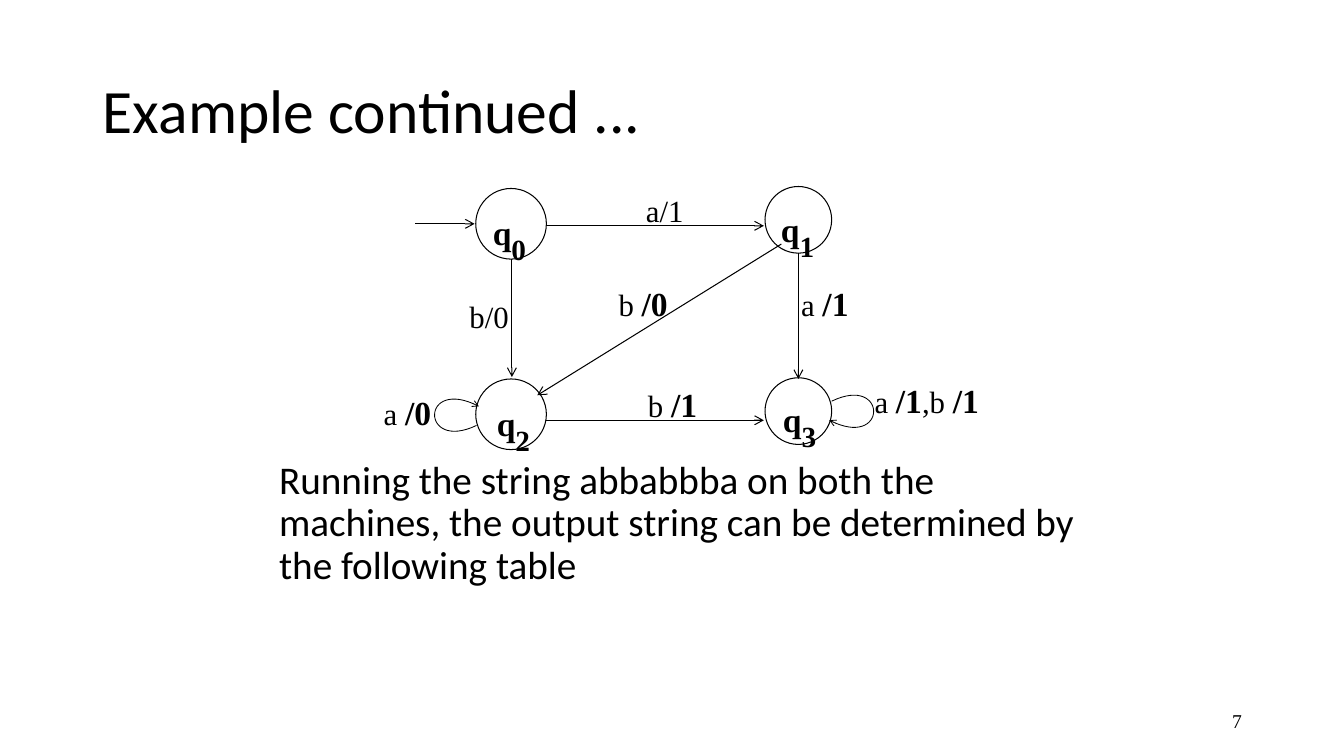
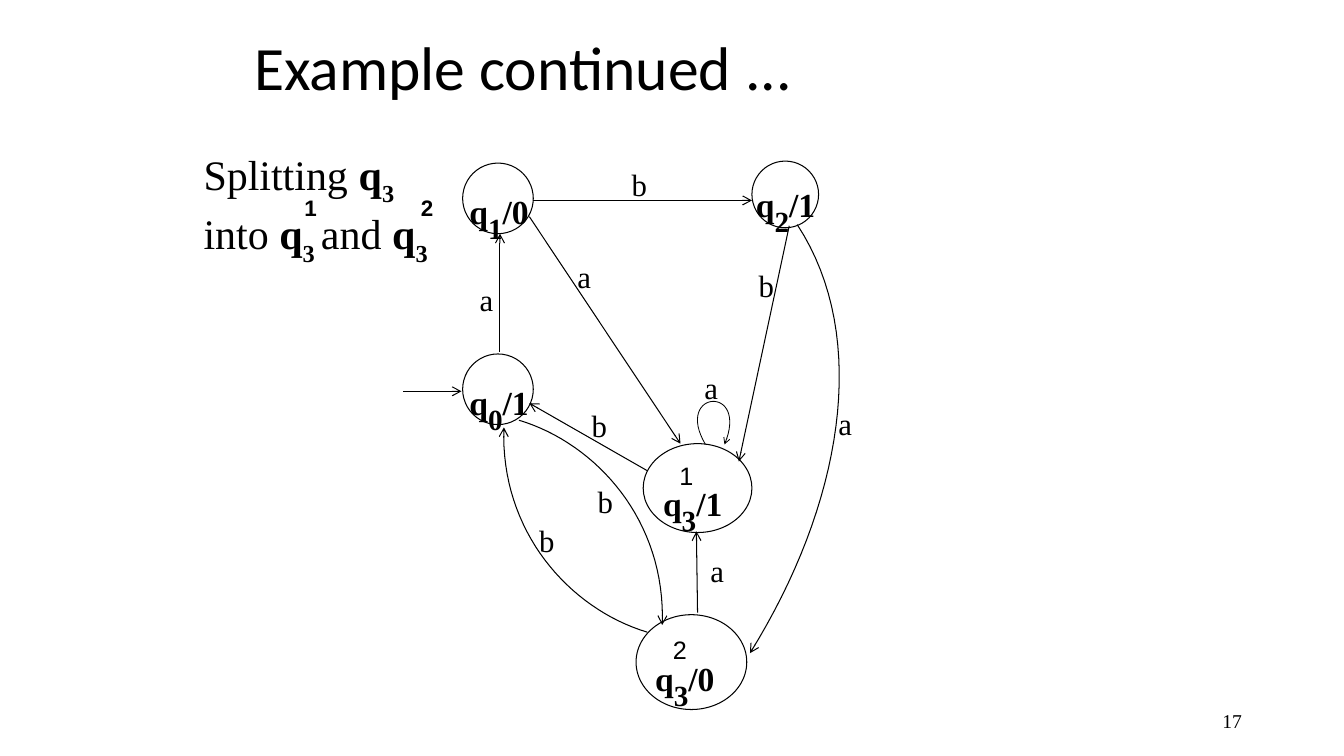
from lxml.etree import SubElement
from pptx import Presentation
from pptx.dml.color import RGBColor
from pptx.enum.shapes import MSO_CONNECTOR, MSO_SHAPE
from pptx.enum.text import MSO_ANCHOR, MSO_AUTO_SIZE, PP_ALIGN
from pptx.oxml.ns import qn
from pptx.util import Cm, Pt

BLACK = RGBColor(0, 0, 0)
WHITE = RGBColor(255, 255, 255)
SERIF, SANS, HEADING = "Times New Roman", "Arial", "Calibri"
LEFT, RIGHT = PP_ALIGN.LEFT, PP_ALIGN.RIGHT
TOP, MIDDLE = MSO_ANCHOR.TOP, MSO_ANCHOR.MIDDLE
NO_FIT = MSO_AUTO_SIZE.NONE
STRAIGHT, ELLIPSE = MSO_CONNECTOR.STRAIGHT, MSO_SHAPE.OVAL
TITLE_AND_BODY, TITLE_ONLY = 1, 5
LARGE_STATE, SMALL_STATE = (1.78, 1.78), (1.68, 1.68)
CURVE_STEPS = 32


def add_span(para, text, size=22, font=SERIF, bold=False, subscript=False):
    """Append a formatted run of text to a paragraph."""
    span = para.add_run()
    span.text = text
    span.font.size = Pt(size)
    span.font.name = font
    span.font.bold = bold
    span.font.color.rgb = BLACK
    if subscript:
        span._r.get_or_add_rPr().set("baseline", "-30000")


def prepare_frame(box, anchor=TOP, align=LEFT):
    """Set up the text frame of a box and return its first paragraph."""
    frame = box.text_frame
    frame.word_wrap = True
    frame.auto_size = NO_FIT
    frame.vertical_anchor = anchor
    para = frame.paragraphs[0]
    para.alignment = align
    return para


def add_box(page, left, top, width, height, **layout):
    """Add a text box and return its first paragraph."""
    box = page.shapes.add_textbox(Cm(left), Cm(top), Cm(width), Cm(height))
    return prepare_frame(box, **layout)


def fill_placeholder(box, area, text, size, anchor=TOP):
    """Move a placeholder and give it one plain paragraph."""
    box.left, box.top, box.width, box.height = map(Cm, area)
    para = prepare_frame(box, anchor)
    para.line_spacing = 0.9
    para.space_before = Pt(0)
    properties = para._p.get_or_add_pPr()
    properties.set("marL", "0")
    properties.set("indent", "0")
    SubElement(properties, qn("a:buNone"))
    add_span(para, text, size=size, font=HEADING)


def add_page(deck, layout, title_area, number):
    """Add a slide with the shared title and a page number."""
    page = deck.slides.add_slide(deck.slide_layouts[layout])
    fill_placeholder(page.shapes.title, title_area, "Example continued ...", 44, MIDDLE)
    para = add_box(page, 23.93, 17.65, 7.62, 1.02, anchor=MIDDLE, align=RIGHT)
    add_span(para, number, size=14)
    return page


def add_state(page, left, top, size, label_at, number, output=""):
    """Draw a state circle with its name and optional output."""
    shape = page.shapes.add_shape(ELLIPSE, *map(Cm, (left, top, *size)))
    shape.shadow.inherit = False
    shape.fill.solid()
    shape.fill.fore_color.rgb = WHITE
    shape.line.color.rgb = BLACK
    shape.line.width = Pt(0.75)
    para = add_box(page, *label_at, 2.44, 1.14)
    add_span(para, "q", size=24, bold=True)
    add_span(para, number, size=36, bold=True, subscript=True)
    if output:
        add_span(para, output, size=24, bold=True)


def add_edge_label(page, left, top, *parts, width=2.57):
    """Label an edge; every second part is bold."""
    para = add_box(page, left, top, width, 1.04)
    for index, part in enumerate(parts):
        bold = index % 2 == 1
        add_span(para, part, size=24 if bold else 22, bold=bold)


def add_index(page, left, top, text, **style):
    """Add a small raised index above a state name."""
    add_span(add_box(page, left, top, 1.27, 1.02), text, font=SANS, **style)


def style_arrow(shape, head_size="med", width=0.75):
    """Draw a thin black line with an open arrowhead at its end."""
    shape.line.color.rgb = BLACK
    shape.line.width = Pt(width)
    outline = shape.element.spPr.get_or_add_ln()
    SubElement(outline, qn("a:tailEnd"), type="arrow", w=head_size, len=head_size)


def add_arrow(page, *ends):
    """Draw a straight arrow between two points."""
    arrow = page.shapes.add_connector(STRAIGHT, *map(Cm, ends))
    style_arrow(arrow)
    SubElement(arrow.element.spPr, qn("a:effectLst"))


def curve_point(controls, step):
    """Return a point of a cubic curve in slide units."""
    t = step / CURVE_STEPS
    weights = ((1 - t) ** 3, 3 * t * (1 - t) ** 2, 3 * t * t * (1 - t), t ** 3)
    return tuple(Cm(sum(w * c for w, c in zip(weights, axis))) for axis in zip(*controls))


def add_curve(page, *controls, **style):
    """Draw a curved arrow from four control points."""
    points = [curve_point(controls, step) for step in range(CURVE_STEPS + 1)]
    builder = page.shapes.build_freeform(*points[0])
    builder.add_line_segments(points[1:], close=False)
    curve = builder.convert_to_shape()
    curve.shadow.inherit = False
    curve.fill.background()
    style_arrow(curve, **style)


def add_loop(page, *controls):
    """Draw a self-loop with a small arrowhead."""
    add_curve(page, *controls, head_size="sm", width=0.6)


def build_mealy_page(deck):
    """Build the slide with outputs on the edges."""
    page = add_page(deck, TITLE_AND_BODY, (2.34, 1.02, 29.21, 3.68), "7")
    fill_placeholder(
        page.placeholders[1], (6.78, 11.48, 20.96, 6.73),
        "Running the string abbabbba on both the machines, "
        "the output string can be determined by the following table", 28)

    add_state(page, 11.99, 4.75, LARGE_STATE, (12.17, 4.8), "0")
    add_state(page, 19.28, 4.7, SMALL_STATE, (19.43, 4.72), "1")
    add_state(page, 11.99, 9.55, LARGE_STATE, (12.27, 9.6), "2")
    add_state(page, 19.28, 9.52, SMALL_STATE, (19.48, 9.5), "3")

    add_edge_label(page, 16.03, 4.7, "a/1")
    add_edge_label(page, 11.58, 7.37, "b/0")
    add_edge_label(page, 15.34, 7.01, "b ", "/0")
    add_edge_label(page, 19.94, 7.01, "a ", "/1")
    add_edge_label(page, 9.42, 9.75, "a ", "/0")
    add_edge_label(page, 16.08, 9.55, "b ", "/1")
    add_edge_label(page, 21.79, 9.45, "a ", "/1", ",b ", "/1", width=3.56)

    add_arrow(page, 10.46, 5.64, 11.96, 5.64)
    add_arrow(page, 13.77, 5.69, 19.25, 5.69)
    add_arrow(page, 12.9, 6.53, 12.9, 9.5)
    add_arrow(page, 20.12, 6.38, 20.12, 9.55)
    add_arrow(page, 19.69, 6.15, 13.54, 9.96)
    add_arrow(page, 13.77, 10.59, 19.25, 10.59)
    add_loop(page, (20.96, 10.11), (22.38, 9.42), (22.38, 11.35), (20.9, 10.59))
    add_loop(page, (12.01, 10.72), (10.59, 11.4), (10.59, 9.47), (12.07, 10.24))


def add_splitting_note(page):
    """Explain which state is split in two."""
    para = add_box(page, 4.88, 3.61, 6.55, 2.79)
    for lead, number in (("Splitting ", "3 "), ("into ", "3 "), ("and ", "3")):
        add_span(para, lead, size=30)
        add_span(para, "q", size=30, bold=True)
        add_span(para, number, size=30, bold=True, subscript=True)
    add_index(page, 7.42, 4.78, "1", size=16, bold=True)
    add_index(page, 10.36, 4.78, "2", size=16, bold=True)


def build_moore_page(deck):
    """Build the slide with outputs in the states."""
    page = add_page(deck, TITLE_ONLY, (6.15, 0.2, 21.59, 3.18), "17")
    add_splitting_note(page)

    add_state(page, 11.66, 8.92, LARGE_STATE, (11.58, 9.07), "0", "/1")
    add_state(page, 11.66, 4.11, LARGE_STATE, (11.58, 4.27), "1", "/0")
    add_state(page, 18.95, 4.06, SMALL_STATE, (18.8, 4.09), "2", "/1")
    add_state(page, 16.21, 11.18, (2.74, 2.24), (16.46, 11.61), "3", "/1")
    add_state(page, 16.03, 15.49, (2.79, 2.39), (16.26, 16.03), "3", "/0")
    add_index(page, 16.87, 11.48, "1", size=18)
    add_index(page, 16.71, 15.85, "2", size=18)

    for left, top, letter in (
        (15.67, 4.04, "b"), (14.3, 6.38, "a"), (18.87, 6.6, "b"),
        (11.84, 6.96, "a"), (17.5, 9.17, "a"), (20.88, 10.08, "a"),
        (14.66, 10.13, "b"), (14.81, 12.04, "b"), (13.34, 13.03, "b"),
        (17.65, 13.77, "a"),
    ):
        add_edge_label(page, left, top, letter)

    add_arrow(page, 10.16, 9.86, 11.63, 9.86)
    add_arrow(page, 13.44, 5.05, 18.95, 5.05)
    add_arrow(page, 12.6, 8.86, 12.6, 5.89)
    add_arrow(page, 13.34, 5.46, 17.15, 11.18)
    add_arrow(page, 19.89, 5.69, 18.62, 11.63)
    add_arrow(page, 16.31, 11.86, 13.34, 10.16)
    add_arrow(page, 17.58, 15.44, 17.55, 13.39)
    add_loop(page, (17.78, 11.2), (16.97, 9.83), (18.9, 9.68), (18.26, 11.2))
    add_curve(page, (16.31, 15.93), (14.35, 15.34), (12.6, 13.39), (12.7, 10.77))
    add_curve(page, (13.08, 10.59), (15.04, 11.18), (16.79, 13.13), (16.69, 15.75))
    add_curve(page, (20.09, 5.66), (21.97, 8.53), (21.21, 12.75), (18.9, 16.46))


def main():
    """Build and save the deck."""
    deck = Presentation()
    deck.slide_width, deck.slide_height = Cm(33.87), Cm(19.05)
    build_mealy_page(deck)
    build_moore_page(deck)
    deck.save("out.pptx")


if __name__ == "__main__":
    main()
